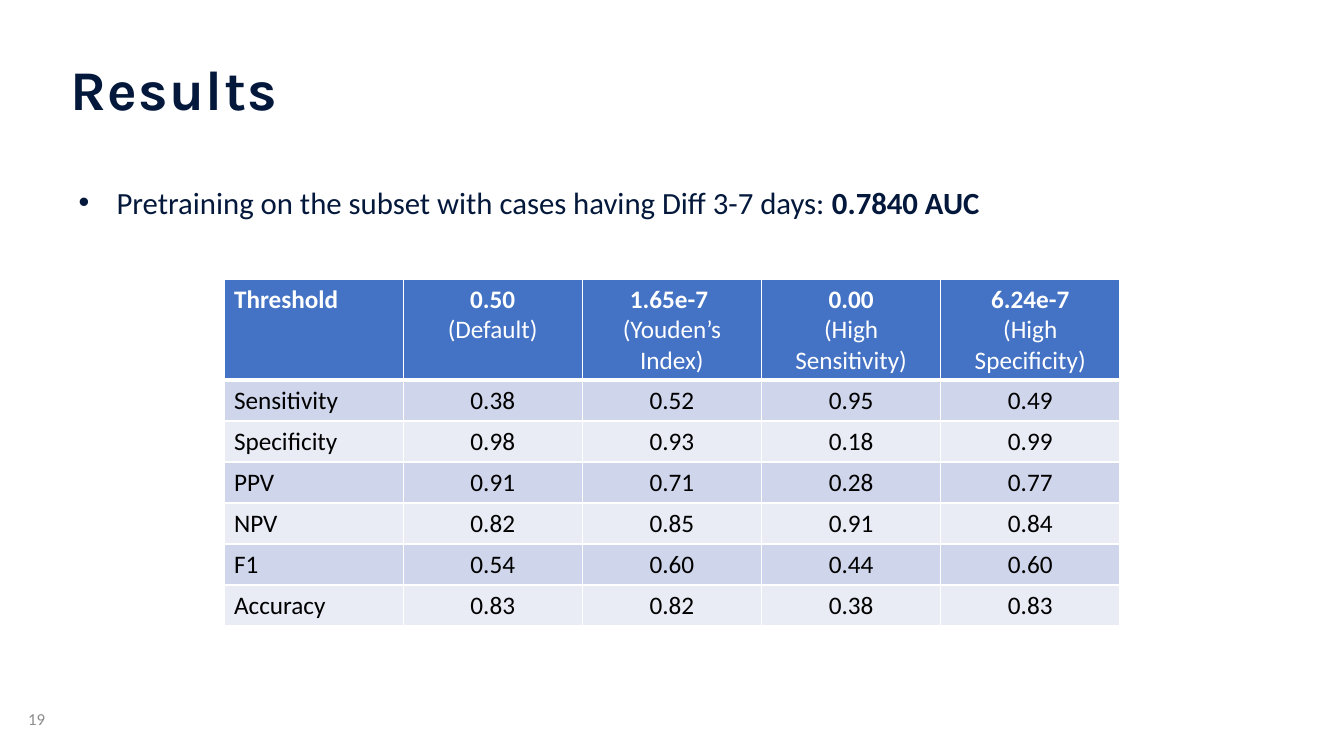
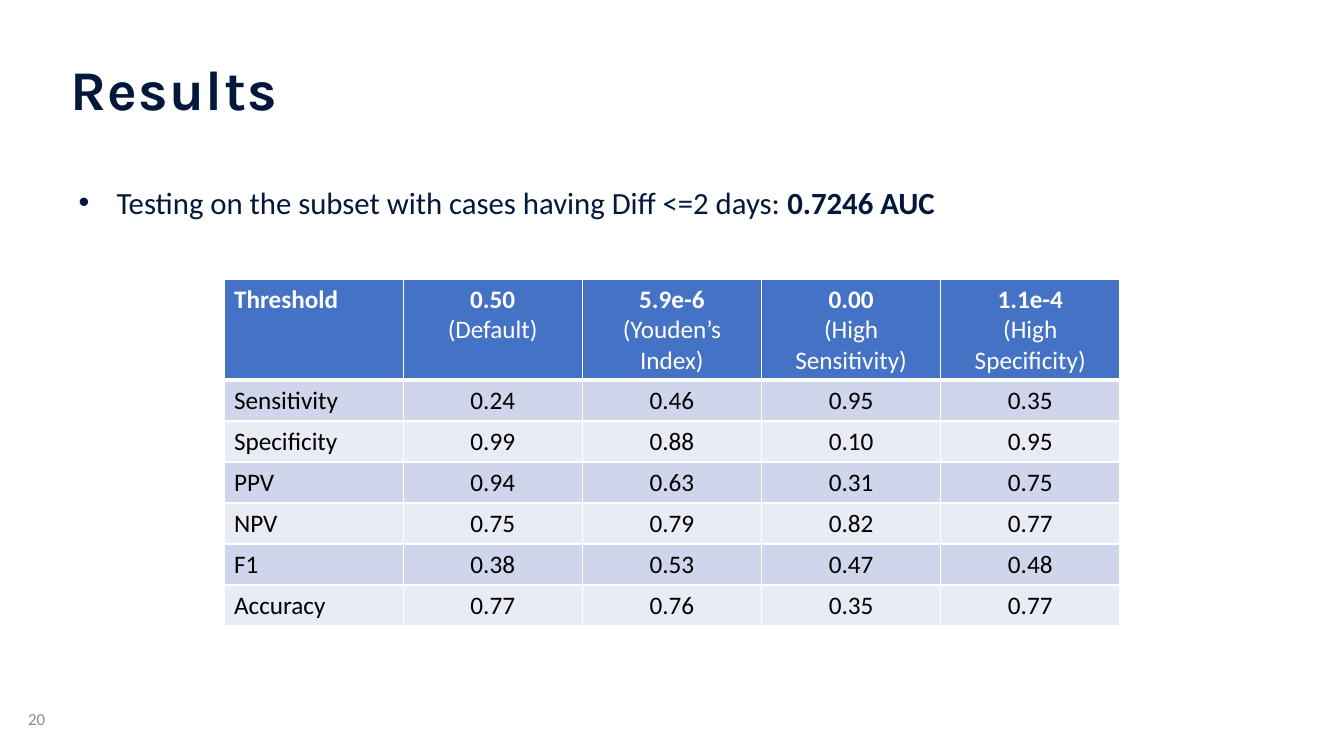
"""Build two result slides, each with a key finding and a threshold table."""
from lxml import etree
from pptx import Presentation
from pptx.dml.color import RGBColor
from pptx.enum.text import MSO_ANCHOR, MSO_AUTO_SIZE, PP_ALIGN
from pptx.oxml.ns import qn
from pptx.util import Pt

LEFT, CENTER = PP_ALIGN.LEFT, PP_ALIGN.CENTER
TOP, MIDDLE = MSO_ANCHOR.TOP, MSO_ANCHOR.MIDDLE
GROW = MSO_AUTO_SIZE.SHAPE_TO_FIT_TEXT

NAVY = RGBColor(0x04, 0x18, 0x3B)
GRAY = RGBColor(0x8C, 0x8C, 0x8C)
BLUE = RGBColor(0x44, 0x72, 0xC4)
WHITE = RGBColor(0xFF, 0xFF, 0xFF)
BLACK = RGBColor(0, 0, 0)
BANDS = (RGBColor(0xCF, 0xD5, 0xEA), RGBColor(0xE9, 0xEB, 0xF5))

BODY = "Calibri"
HEAD = "Karla"
COL, ROW, TALL = 128, 29.3, 71.5

MODES = ("(Default)", "(Youden’s Index)", "(High Sensitivity)",
         "(High Specificity)")
NAMES = ("Sensitivity", "Specificity", "PPV", "NPV", "F1", "Accuracy")

SLIDES = (
    (19, "Pretraining on the subset with cases having Diff 3-7 days: ",
     "0.7840 AUC", ("0.50", "1.65e-7 ", "0.00", "6.24e-7"),
     (("0.38", "0.52", "0.95", "0.49"),
      ("0.98", "0.93", "0.18", "0.99"),
      ("0.91", "0.71", "0.28", "0.77"),
      ("0.82", "0.85", "0.91", "0.84"),
      ("0.54", "0.60", "0.44", "0.60"),
      ("0.83", "0.82", "0.38", "0.83"))),
    (20, "Testing on the subset with cases having Diff <=2 days: ",
     "0.7246 AUC", ("0.50", "5.9e-6", "0.00", "1.1e-4"),
     (("0.24", "0.46", "0.95", "0.35"),
      ("0.99", "0.88", "0.10", "0.95"),
      ("0.94", "0.63", "0.31", "0.75"),
      ("0.75", "0.79", "0.82", "0.77"),
      ("0.38", "0.53", "0.47", "0.48"),
      ("0.77", "0.76", "0.35", "0.77"))),
)


def add_run(para, text, size, color, bold=False, font=BODY):
    """Append one formatted run and return it."""
    run = para.add_run()
    run.text = text
    run.font.size = Pt(size)
    run.font.name = font
    run.font.bold = bold
    run.font.color.rgb = color
    return run


def place(shape, left, top, width, height, anchor=TOP):
    """Move a text shape and return its first paragraph."""
    shape.left, shape.top = Pt(left), Pt(top)
    shape.width, shape.height = Pt(width), Pt(height)
    frame = shape.text_frame
    frame.word_wrap = True
    frame.vertical_anchor = anchor
    para = frame.paragraphs[0]
    para.alignment = LEFT
    return para


def add_title(slide, text):
    """Fill the title placeholder with spaced bold text."""
    title = slide.shapes.title
    para = place(title, 43, 35.3, 521, 55.4)
    title.text_frame.auto_size = GROW
    run = add_run(para, text, 40, NAVY, True, HEAD)
    run.font._element.set("spc", "100")


def add_point(slide, text, score):
    """Fill the body placeholder with one bullet and its bold score."""
    body = slide.placeholders[1]
    para = place(body, 49, 127.4, 866, 34)
    body.text_frame.auto_size = GROW
    para.space_before = para.space_after = Pt(6)
    props = para._p.get_or_add_pPr()
    props.set("marL", str(Pt(27)))
    props.set("indent", str(Pt(-27)))
    etree.SubElement(props, qn("a:buFont"), typeface="Arial")
    etree.SubElement(props, qn("a:buChar"), char="•")
    add_run(para, text, 22, NAVY)
    add_run(para, score, 22, NAVY, True)


def add_number(slide, number):
    """Write the slide number at the lower left."""
    box = slide.shapes.add_textbox(0, 0, 0, 0)
    para = place(box, 13, 499, 41, 29, MIDDLE)
    add_run(para, str(number), 12, GRAY)


def add_edges(cell, top, bottom):
    """Draw white borders around a cell with the given top and bottom widths."""
    props = cell._tc.get_or_add_tcPr()
    for side, width in (("L", 1), ("R", 1), ("T", top), ("B", bottom)):
        line = etree.SubElement(props, qn(f"a:ln{side}"), w=str(Pt(width)))
        fill = etree.SubElement(line, qn("a:solidFill"))
        etree.SubElement(fill, qn("a:srgbClr"), val=str(WHITE))


def fill_cell(cell, row, col, lines):
    """Style a cell by its place and write its lines, bold first in the header."""
    head = row == 0
    add_edges(cell, 3 if row == 1 else 1, 3 if head else 1)
    cell.fill.solid()
    cell.fill.fore_color.rgb = BLUE if head else BANDS[(row - 1) % 2]
    frame = cell.text_frame
    for i, text in enumerate(lines):
        para = frame.add_paragraph() if i else frame.paragraphs[0]
        para.alignment = CENTER if col else LEFT
        add_run(para, text, 18, WHITE if head else BLACK, head and i == 0)


def add_grid(slide, cuts, scores):
    """Add the table of scores for each threshold."""
    rows = [[("Threshold",), *zip(cuts, MODES)]]
    for name, vals in zip(NAMES, scores):
        rows.append([(text,) for text in (name, *vals)])
    count, wide = len(rows), len(rows[0])
    high = TALL + ROW * (count - 1)
    table = slide.shapes.add_table(count, wide, Pt(160), Pt(199.4),
                                   Pt(COL * wide), Pt(high)).table
    for col in table.columns:
        col.width = Pt(COL)
    for r, row in enumerate(rows):
        table.rows[r].height = Pt(ROW if r else TALL)
        for c, lines in enumerate(row):
            fill_cell(table.cell(r, c), r, c, lines)


def main():
    """Build and save the deck."""
    deck = Presentation()
    deck.slide_width, deck.slide_height = Pt(960), Pt(540)
    for number, text, score, cuts, scores in SLIDES:
        slide = deck.slides.add_slide(deck.slide_layouts[1])
        add_number(slide, number)
        add_title(slide, "Results")
        add_grid(slide, cuts, scores)
        add_point(slide, text, score)
    deck.save("out.pptx")


if __name__ == "__main__":
    main()
